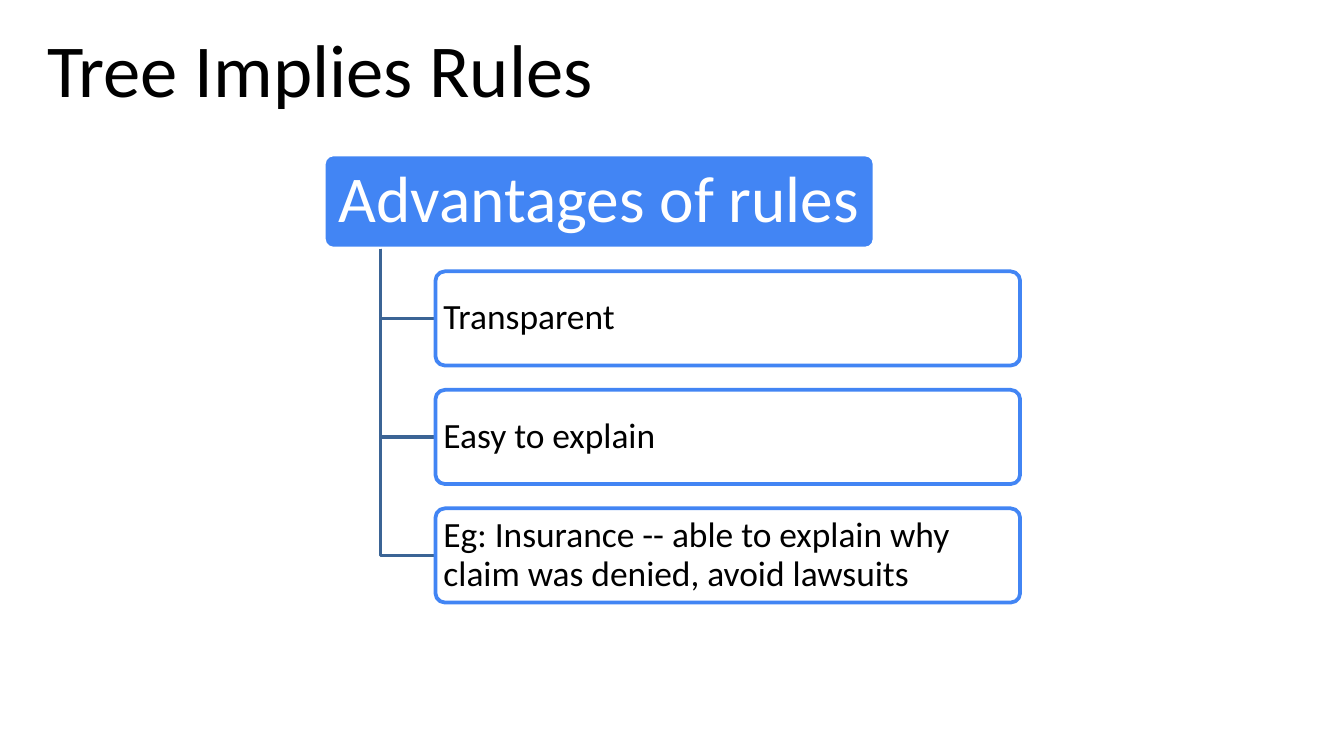
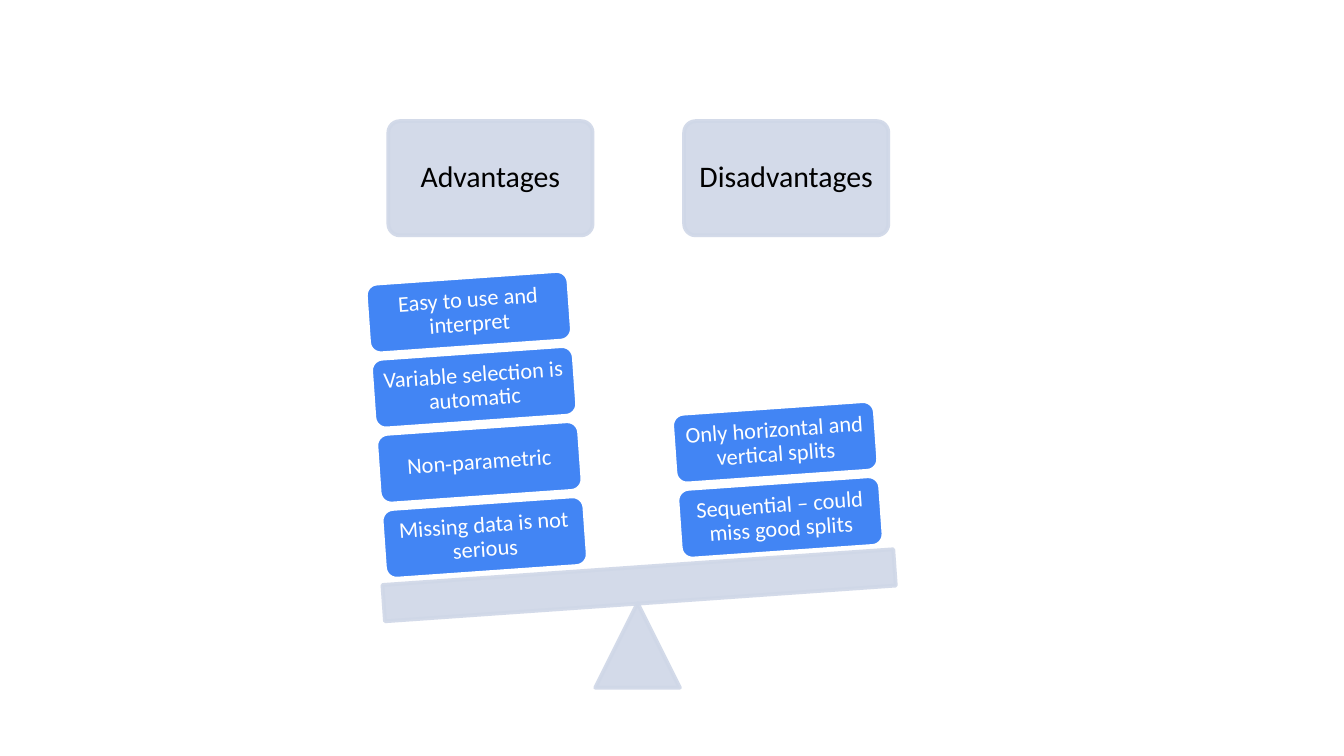
from pptx import Presentation, util as u
from pptx.dml.color import RGBColor
from pptx.enum import shapes, text
from pptx.oxml.ns import qn
from lxml import etree

COLORS = {
    "blue": "4285F4",
    "branch": "3B6495",
    "pale": "CFD7E7",
    "white": "FFFFFF",
    "black": "000000",
}
FONT = "Calibri"
TILT = 356
KIND = shapes.MSO_SHAPE


def color(name):
    return RGBColor.from_string(COLORS[name])


class Sketch:
    def __init__(self, deck):
        self.deck = deck
        self.page = None

    def new_page(self):
        self.page = self.deck.slides.add_slide(self.deck.slide_layouts[6])

    def label(self, shape, words, size, ink, align, insets, anchor, spacing):
        frame = shape.text_frame
        frame.word_wrap = True
        frame.vertical_anchor = anchor
        frame.margin_left = frame.margin_right = u.Cm(insets[0])
        frame.margin_top = frame.margin_bottom = u.Cm(insets[1])
        frame.text = words
        para = frame.paragraphs[0]
        para.alignment = align
        para.line_spacing = spacing
        font = para.runs[0].font
        font.name = FONT
        font.size = u.Pt(size)
        font.color.rgb = color(ink)

    def title(self, words):
        box = self.page.shapes.add_textbox(u.Cm(0.64), u.Cm(0.3), u.Cm(11.05), u.Cm(3.68))
        self.label(box, words, 40, "black", text.PP_ALIGN.LEFT, (0.25, 0.13),
                   text.MSO_ANCHOR.TOP, 1.0)

    def shape(self, kind, bounds, fill, line, corner=None, rotation=0, alpha=None):
        shape = self.page.shapes.add_shape(kind, *map(u.Cm, bounds))
        shape.shadow.inherit = False
        shape.fill.solid()
        shape.fill.fore_color.rgb = color(fill)
        shape.line.color.rgb = color(line)
        shape.line.width = u.Pt(2)
        shape.rotation = rotation
        if corner is not None:
            shape.adjustments[0] = corner
        if alpha:
            for paint in shape.element.spPr.iter(qn("a:srgbClr")):
                etree.SubElement(paint, qn("a:alpha"), val=str(alpha * 1000))
        return shape

    def card(self, words, bounds, fill, line, size, ink, insets,
             align=text.PP_ALIGN.CENTER, corner=0.1, **style):
        card = self.shape(KIND.ROUNDED_RECTANGLE, bounds, fill, line, corner, **style)
        self.label(card, words, size, ink, align, insets, text.MSO_ANCHOR.MIDDLE, 0.9)

    def branch(self, left, top, right, bottom):
        builder = self.page.shapes.build_freeform(u.Cm(left), u.Cm(top))
        builder.add_line_segments(
            [(u.Cm(left), u.Cm(bottom)), (u.Cm(right), u.Cm(bottom))], close=False)
        branch = builder.convert_to_shape()
        branch.shadow.inherit = False
        branch.fill.background()
        branch.line.color.rgb = color("branch")
        branch.line.width = u.Pt(2)

    def stack(self, left, lowest_top, labels):
        for level, words in enumerate(labels):
            self.card(words, (left - 0.1 * level, lowest_top - 1.42 * level, 3.84, 1.32),
                      "blue", "white", 12, "white", (0.13, 0.13),
                      corner=0.167, rotation=TILT)


def rules_page(sketch):
    sketch.new_page()
    sketch.title("Tree Implies Rules")
    sketch.card("Advantages of rules", (6.12, 2.92, 10.41, 1.78), "blue", "white",
                35, "white", (0.18, 0.13))
    rules = [
        "Transparent",
        "Easy to explain",
        "Eg: Insurance -- able to explain why claim was denied, avoid lawsuits",
    ]
    left, height = 8.23, 1.78
    for index, rule in enumerate(rules):
        top = 5.13 + 2.24 * index
        sketch.branch(7.19, 4.7, left, top + height / 2)
        sketch.card(rule, (left, top, 11.05, height), "white", "blue", 19, "black",
                    (0.1, 0.08), align=text.PP_ALIGN.LEFT)


def balance_page(sketch):
    sketch.new_page()
    for left, heading in ((7.34, "Advantages"), (12.93, "Disadvantages")):
        sketch.card(heading, (left, 2.29, 3.86, 2.16), "pale", "pale", 16, "black",
                    (0.18, 0.18), alpha=90)
    sketch.shape(KIND.ISOSCELES_TRIANGLE, (11.25, 11.4, 1.6, 1.6), "pale", "pale", alpha=90)
    sketch.shape(KIND.RECTANGLE, (7.24, 10.72, 9.68, 0.69), "pale", "pale",
                 rotation=TILT, alpha=90)
    sketch.stack(7.24, 9.5, [
        "Missing data is not serious",
        "Non-parametric",
        "Variable selection is automatic",
        "Easy to use and interpret",
    ])
    sketch.stack(12.83, 9.12, [
        "Sequential – could miss good splits",
        "Only horizontal and vertical splits",
    ])


def main():
    deck = Presentation()
    deck.slide_width = u.Cm(25.4)
    deck.slide_height = u.Cm(14.29)
    sketch = Sketch(deck)
    rules_page(sketch)
    balance_page(sketch)
    deck.save("out.pptx")


if __name__ == "__main__":
    main()
